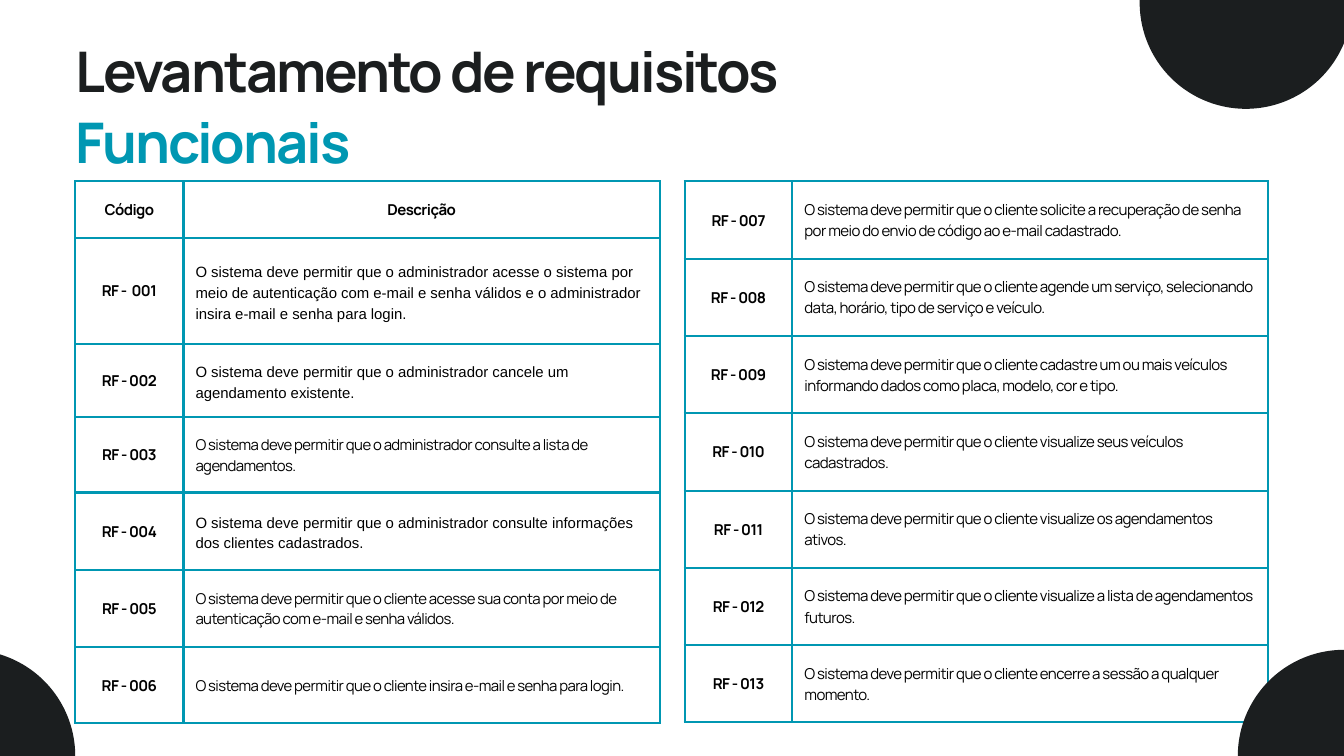
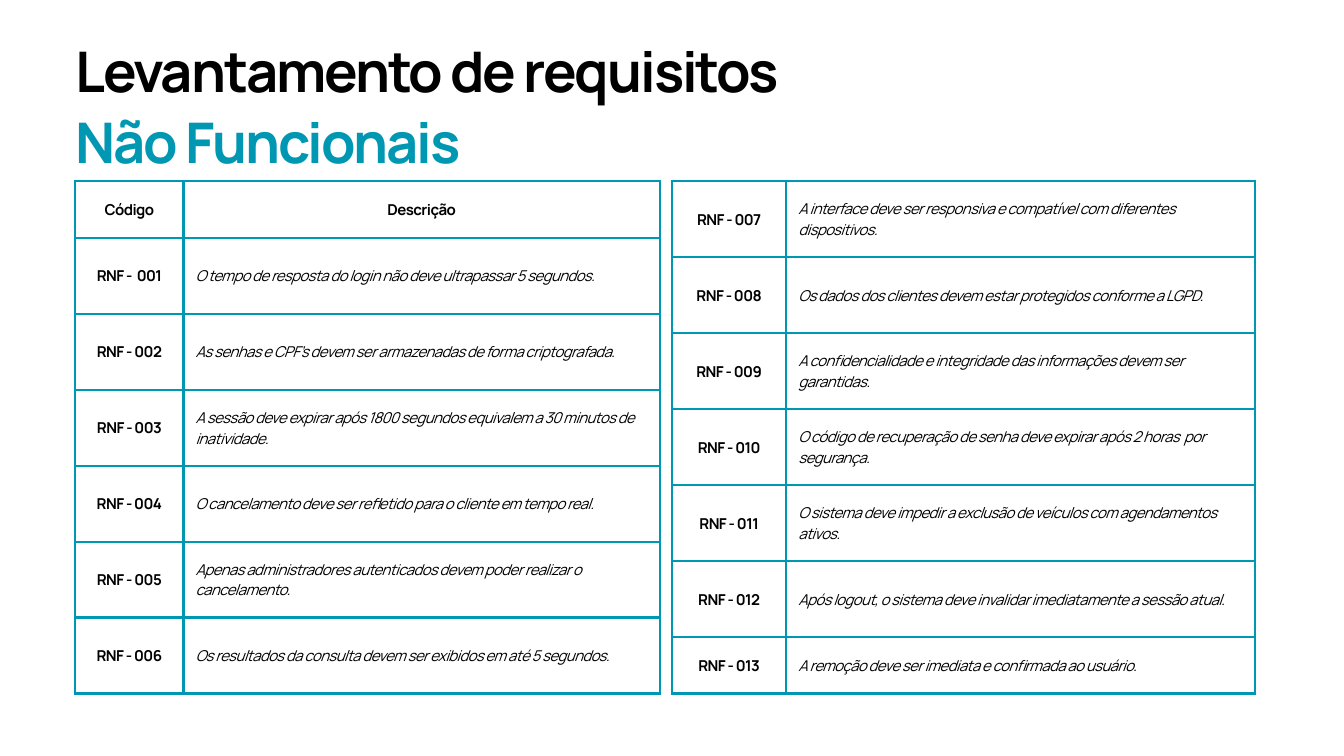
from dataclasses import dataclass, replace

from lxml.etree import SubElement
from pptx import Presentation
from pptx.dml.color import RGBColor
from pptx.enum.shapes import MSO_SHAPE as Preset
from pptx.enum.text import MSO_ANCHOR as Anchor, MSO_AUTO_SIZE as AutoSize, PP_ALIGN as Align
from pptx.oxml.ns import qn
from pptx.util import Inches, Pt

DARK, TEAL, BLACK = "1B1E1F", "0097B2", "000000"
MARGIN, TABLE_TOP, PADDING = 1.12, 2.7, 0.18
CIRCLE_SIZE = 3.16
BORDER_WIDTH = 2.54


@dataclass(frozen=True)
class TextStyle:
    """Look of one paragraph."""
    size: float
    leading: float
    bold: bool = False
    italic: bool = False
    font: str = "Manrope"
    spacing: float = -0.6
    align: Align = Align.LEFT


TITLE = TextStyle(60, 75.6, bold=True, spacing=-2.2)
LABEL = TextStyle(16.1, 22.5, bold=True, align=Align.CENTER)
PLAIN = TextStyle(16, 22.4)
PLAIN_LARGE = TextStyle(16.1, 22.5)
ITALIC = replace(PLAIN, italic=True)
ARIAL = replace(PLAIN, font="Arial", spacing=0)


@dataclass(frozen=True)
class Requirement:
    """Description of one requirement and its text style."""
    description: str
    style: TextStyle


@dataclass(frozen=True)
class RequirementTable:
    """Place, grid and content of one table of numbered requirements."""
    left: float
    columns: tuple[float, float]
    row_heights: list[float]
    prefix: str
    first_number: int
    requirements: list[Requirement]
    header: tuple[str, ...] = ()


@dataclass(frozen=True)
class Circle:
    """Top left corner of a decorative circle."""
    left: float
    top: float


def styled(style: TextStyle, *descriptions: str) -> list[Requirement]:
    """Give several descriptions the same style."""
    return [Requirement(description, style) for description in descriptions]


FUNCTIONAL = [
    Requirement("O sistema deve permitir que o administrador acesse o sistema por meio de autenticação "
                "com e-mail e senha válidos e o administrador insira e-mail e senha para login.", ARIAL),
    Requirement("O sistema deve permitir que o administrador cancele um agendamento existente.", ARIAL),
    Requirement("O sistema deve permitir que o administrador consulte a lista de agendamentos.", PLAIN),
    Requirement("O sistema deve permitir que o administrador consulte informações dos clientes cadastrados.",
                ARIAL),
    *styled(
        PLAIN,
        "O sistema deve permitir que o cliente acesse sua conta por meio de autenticação com e-mail e "
        "senha válidos.",
        "O sistema deve permitir que o cliente insira e-mail e senha para login.",
    ),
    *styled(
        PLAIN_LARGE,
        "O sistema deve permitir que o cliente solicite a recuperação de senha por meio do envio de "
        "código ao e-mail cadastrado.",
        "O sistema deve permitir que o cliente agende um serviço, selecionando data, horário, tipo de "
        "serviço e veículo.",
        "O sistema deve permitir que o cliente cadastre um ou mais veículos informando dados como placa, "
        "modelo, cor e tipo.",
        "O sistema deve permitir que o cliente visualize seus veículos cadastrados.",
        "O sistema deve permitir que o cliente visualize os agendamentos ativos.",
        "O sistema deve permitir que o cliente visualize a lista de agendamentos futuros.",
        "O sistema deve permitir que o cliente encerre a sessão a qualquer momento.",
    ),
]
NON_FUNCTIONAL = styled(
    ITALIC,
    "O tempo de resposta do login não deve ultrapassar 5 segundos.",
    "As senhas e CPF’s devem ser armazenadas de forma criptografada.",
    "A sessão deve expirar após 1800 segundos equivalem a 30 minutos de inatividade.",
    "O cancelamento deve ser refletido para o cliente em tempo real.",
    "Apenas administradores autenticados devem poder realizar o cancelamento.",
    "Os resultados da consulta devem ser exibidos em até 5 segundos.",
    "A interface deve ser responsiva e compatível com diferentes dispositivos.",
    "Os dados dos clientes devem estar protegidos conforme a LGPD.",
    "A confidencialidade e integridade das informações devem ser garantidas.",
    "O código de recuperação de senha deve expirar após 2 horas  por segurança.",
    "O sistema deve impedir a exclusão de veículos com agendamentos ativos.",
    "Após logout, o sistema deve invalidar imediatamente a sessão atual.",
    "A remoção deve ser imediata e confirmada ao usuário.",
)
HEADER = ("Código", "Descrição")
LEFT_COLUMNS = (1.61, 7.09)
LEFT_COUNT = 6


def color(value: str) -> RGBColor:
    """Turn a hex string into a colour."""
    return RGBColor.from_string(value)


def style_paragraph(paragraph, style: TextStyle) -> None:
    """Apply a text style to a whole paragraph."""
    paragraph.alignment = style.align
    paragraph.line_spacing = Pt(style.leading)
    font = paragraph.font
    font.name, font.size = style.font, Pt(style.size)
    font.bold, font.italic = style.bold, style.italic
    font.color.rgb = color(BLACK)
    properties = paragraph._p.pPr.find(qn("a:defRPr"))
    properties.set("spc", str(round(style.spacing * 100)))


def add_title(slide, subject: str, lead_color: str) -> None:
    """Add the two-colour slide title."""
    box = slide.shapes.add_textbox(Inches(MARGIN), Inches(0.5), Inches(11.39), Inches(2.14))
    frame = box.text_frame
    frame.word_wrap = True
    frame.auto_size = AutoSize.SHAPE_TO_FIT_TEXT
    frame.margin_left = frame.margin_right = frame.margin_top = frame.margin_bottom = 0
    paragraph = frame.paragraphs[0]
    style_paragraph(paragraph, TITLE)
    for text, text_color in (("Levantamento de requisitos ", lead_color), (subject, TEAL)):
        run = paragraph.add_run()
        run.text = text
        run.font.color.rgb = color(text_color)


def add_circle(slide, circle: Circle) -> None:
    """Add one dark circle that runs over the slide edge."""
    shape = slide.shapes.add_shape(Preset.OVAL, Inches(circle.left), Inches(circle.top),
                                   Inches(CIRCLE_SIZE), Inches(CIRCLE_SIZE))
    shape.shadow.inherit = False
    shape.fill.solid()
    shape.fill.fore_color.rgb = color(DARK)
    shape.line.fill.background()


def add_borders(cell) -> None:
    """Draw a teal line on the four sides of a cell."""
    properties = cell._tc.get_or_add_tcPr()
    for side in ("lnL", "lnR", "lnT", "lnB"):
        line = SubElement(properties, qn(f"a:{side}"), w=str(Pt(BORDER_WIDTH)))
        fill = SubElement(line, qn("a:solidFill"))
        SubElement(fill, qn("a:srgbClr"), val=TEAL)


def fill_cell(cell, text: str, style: TextStyle) -> None:
    """Write and format one table cell."""
    add_borders(cell)
    cell.fill.background()
    cell.vertical_anchor = Anchor.MIDDLE
    cell.margin_left = cell.margin_right = cell.margin_top = cell.margin_bottom = Inches(PADDING)
    paragraph = cell.text_frame.paragraphs[0]
    paragraph.add_run().text = text
    style_paragraph(paragraph, style)


def requirement_code(prefix: str, number: int) -> str:
    """Return the code of a requirement; the first has a wider gap."""
    gap = "  " if number == 1 else " "
    return f"{prefix} -{gap}{number:03}"


def add_requirement_table(slide, data: RequirementTable) -> None:
    """Add a table of codes and descriptions."""
    frame = slide.shapes.add_table(len(data.row_heights), 2, Inches(data.left), Inches(TABLE_TOP),
                                   Inches(sum(data.columns)), Inches(sum(data.row_heights)))
    table = frame.table
    table.first_row = table.horz_banding = False
    for column, width in zip(table.columns, data.columns):
        column.width = Inches(width)
    for row, height in zip(table.rows, data.row_heights):
        row.height = Inches(height)
    for index, text in enumerate(data.header):
        fill_cell(table.cell(0, index), text, LABEL)
    first_row = 1 if data.header else 0
    for index, requirement in enumerate(data.requirements):
        row = first_row + index
        fill_cell(table.cell(row, 0), requirement_code(data.prefix, data.first_number + index), LABEL)
        fill_cell(table.cell(row, 1), requirement.description, requirement.style)


def add_requirements_slide(presentation, subject: str, lead_color: str,
                           tables: list[RequirementTable], circles: list[Circle]) -> None:
    """Add a slide with title, tables and circles."""
    slide = presentation.slides.add_slide(presentation.slide_layouts[6])
    add_title(slide, subject, lead_color)
    for table in tables:
        add_requirement_table(slide, table)
    for circle in circles:
        add_circle(slide, circle)


def main() -> None:
    """Build and save the presentation."""
    presentation = Presentation()
    presentation.slide_width, presentation.slide_height = Inches(20), Inches(11.25)
    right_number = LEFT_COUNT + 1
    add_requirements_slide(
        presentation, "Funcionais", DARK,
        [
            RequirementTable(MARGIN, LEFT_COLUMNS, [0.84, 1.58, 1.08, 1.13, 1.15, 1.15, 1.13], "RF", 1,
                             FUNCTIONAL[:LEFT_COUNT], HEADER),
            RequirementTable(10.19, (1.6, 7.08), [1.15] * 7, "RF", right_number,
                             FUNCTIONAL[LEFT_COUNT:]),
        ],
        [Circle(-2.04, 9.67), Circle(16.96, -1.54), Circle(18.42, 9.67)],
    )
    add_requirements_slide(
        presentation, "Não Funcionais", BLACK,
        [
            RequirementTable(MARGIN, LEFT_COLUMNS, [0.84] + [1.13] * 6, "RNF", 1,
                             NON_FUNCTIONAL[:LEFT_COUNT], HEADER),
            RequirementTable(10, (1.7, 6.98), [1.13] * 6 + [0.84], "RNF", right_number,
                             NON_FUNCTIONAL[LEFT_COUNT:]),
        ],
        [],
    )
    presentation.save("out.pptx")


if __name__ == "__main__":
    main()
